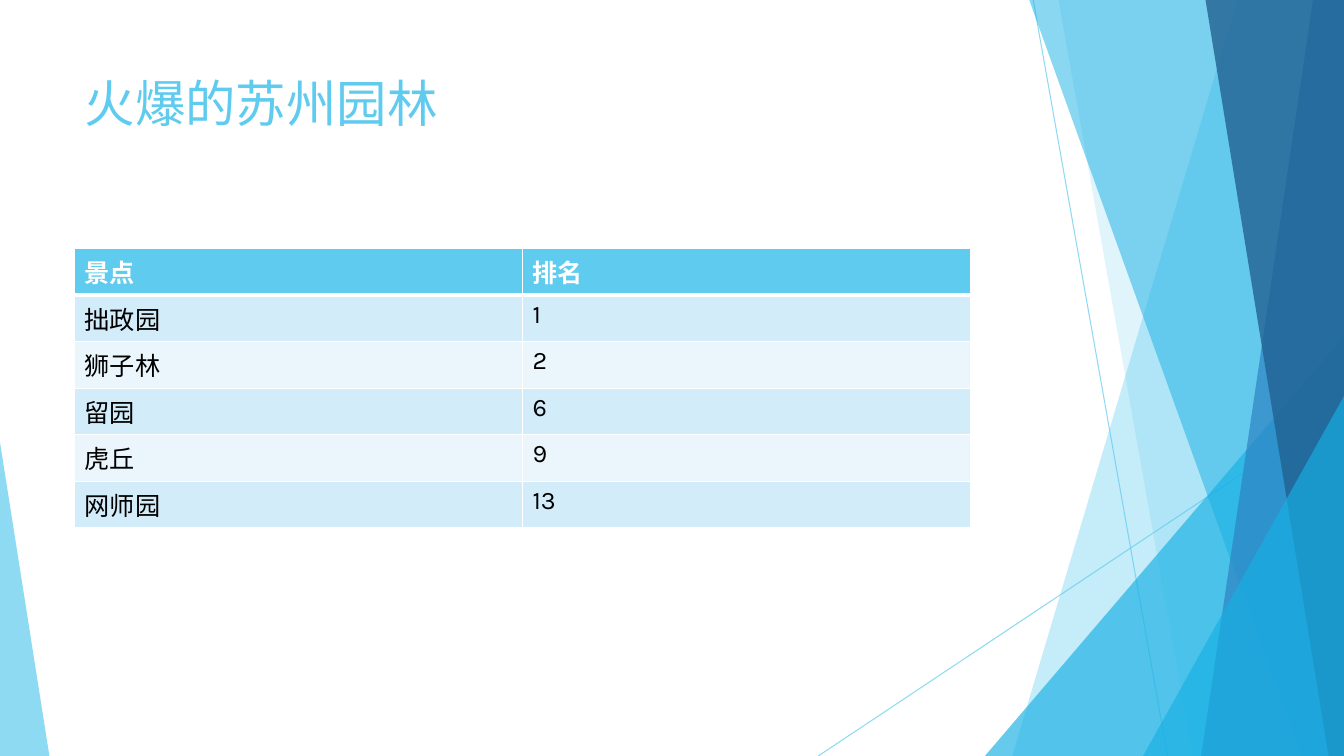
from dataclasses import dataclass

from lxml.etree import SubElement
from pptx import Presentation
from pptx.dml.color import RGBColor
from pptx.enum.shapes import MSO_CONNECTOR as Connector, MSO_SHAPE as Preset
from pptx.enum.text import MSO_ANCHOR as Anchor, PP_ALIGN as Align
from pptx.oxml.ns import qn
from pptx.util import Pt

TITLE = "火爆的苏州园林"
RANKING = [
    ("景点", "排名"),
    ("拙政园", "1"),
    ("狮子林", "2"),
    ("留园", "6"),
    ("虎丘", "9"),
    ("网师园", "13"),
]


@dataclass(frozen=True)
class Theme:
    font: str = "Karla"
    title_size: float = 36
    body_size: float = 18
    sky: str = "5FCBEF"
    azure: str = "17B0E4"
    blue: str = "2E83C3"
    navy: str = "226292"
    band_dark: str = "D2ECF9"
    band_light: str = "EAF6FC"
    white: str = "FFFFFF"
    black: str = "000000"


theme = Theme()
WIDTH, HEIGHT = 960, 540
BLEED = -0.6

RAYS = [((738, 0), (834, HEIGHT)), ((WIDTH, 290), (584.5, HEIGHT))]
FACETS = [
    ("band", 884, 723, theme.sky, 36),
    ("band", 756, 852, theme.sky, 20),
    ("triangle", 703.5, 240, WIDTH, 1, theme.azure, 66),
    ("band", 735, 929.5, theme.azure, 50),
    ("band", 938, 858, theme.blue, 70),
    ("band", 861, 949, theme.navy, 80),
    ("triangle", 816.5, 283, WIDTH, 1, theme.azure, 66),
    ("triangle", 0, 316, 35.3, 0, theme.sky, 70),
]


def rgb(color):
    return RGBColor.from_string(color)


def set_opacity(shape, percent):
    for color in shape.element.spPr.iter(qn("a:srgbClr")):
        SubElement(color, qn("a:alpha"), val=str(percent * 1000))


def write(frame, text, *, size, color, bold=False):
    paragraph = frame.paragraphs[0]
    paragraph.alignment = Align.LEFT
    run = paragraph.add_run()
    run.text = text
    run.font.name = theme.font
    run.font.size = Pt(size)
    run.font.bold = bold
    run.font.color.rgb = rgb(color)


def draw_ray(slide, start, end):
    ray = slide.shapes.add_connector(
        Connector.STRAIGHT, *(Pt(value) for value in start + end))
    ray.line.color.rgb = rgb(theme.sky)
    ray.line.width = Pt(0.75)
    SubElement(ray.element.spPr, qn("a:effectLst"))
    set_opacity(ray, 70)


def paint(facet, color, opacity):
    facet.shadow.inherit = False
    facet.fill.solid()
    facet.fill.fore_color.rgb = rgb(color)
    facet.line.fill.background()
    set_opacity(facet, opacity)


def draw_band(slide, top_x, bottom_x, color, opacity):
    outline = slide.shapes.build_freeform(Pt(top_x), Pt(BLEED))
    corners = [(WIDTH, BLEED), (WIDTH, HEIGHT), (bottom_x, HEIGHT)]
    outline.add_line_segments([(Pt(x), Pt(y)) for x, y in corners], close=True)
    paint(outline.convert_to_shape(), color, opacity)


def draw_triangle(slide, left, top, right, apex, color, opacity):
    triangle = slide.shapes.add_shape(
        Preset.ISOSCELES_TRIANGLE, Pt(left), Pt(top), Pt(right - left), Pt(HEIGHT - top))
    triangle.adjustments[0] = apex
    paint(triangle, color, opacity)


def set_borders(cell, **widths):
    properties = cell._tc.get_or_add_tcPr()
    for side in ("L", "R", "T", "B"):
        border = SubElement(properties, qn(f"a:ln{side}"), w=str(Pt(widths.get(side, 1))))
        fill = SubElement(border, qn("a:solidFill"))
        SubElement(fill, qn("a:srgbClr"), val=theme.white)


def add_title(slide):
    title = slide.shapes.title
    title.left, title.top, title.width, title.height = Pt(53.3), Pt(48), Pt(677), Pt(104)
    title.text_frame.vertical_anchor = Anchor.TOP
    write(title.text_frame, TITLE, size=theme.title_size, color=theme.sky)
    title.element.getparent().append(title.element)


def add_ranking(slide):
    table = slide.shapes.add_table(
        len(RANKING), len(RANKING[0]), Pt(53.3), Pt(177.4), Pt(640), Pt(29.2 * len(RANKING))).table
    for r, record in enumerate(RANKING):
        header = r == 0
        band = theme.sky if header else (theme.band_light, theme.band_dark)[r % 2]
        for c, text in enumerate(record):
            cell = table.cell(r, c)
            set_borders(cell, T=3 if r == 1 else 1, B=3 if header else 1)
            cell.fill.solid()
            cell.fill.fore_color.rgb = rgb(band)
            write(cell.text_frame, text, size=theme.body_size, bold=header,
                  color=theme.white if header else theme.black)


def main():
    deck = Presentation()
    deck.slide_width, deck.slide_height = Pt(WIDTH), Pt(HEIGHT)
    slide = deck.slides.add_slide(deck.slide_layouts[5])
    for start, end in RAYS:
        draw_ray(slide, start, end)
    draw = {"band": draw_band, "triangle": draw_triangle}
    for kind, *facet in FACETS:
        draw[kind](slide, *facet)
    add_title(slide)
    add_ranking(slide)
    deck.save("out.pptx")


if __name__ == "__main__":
    main()
